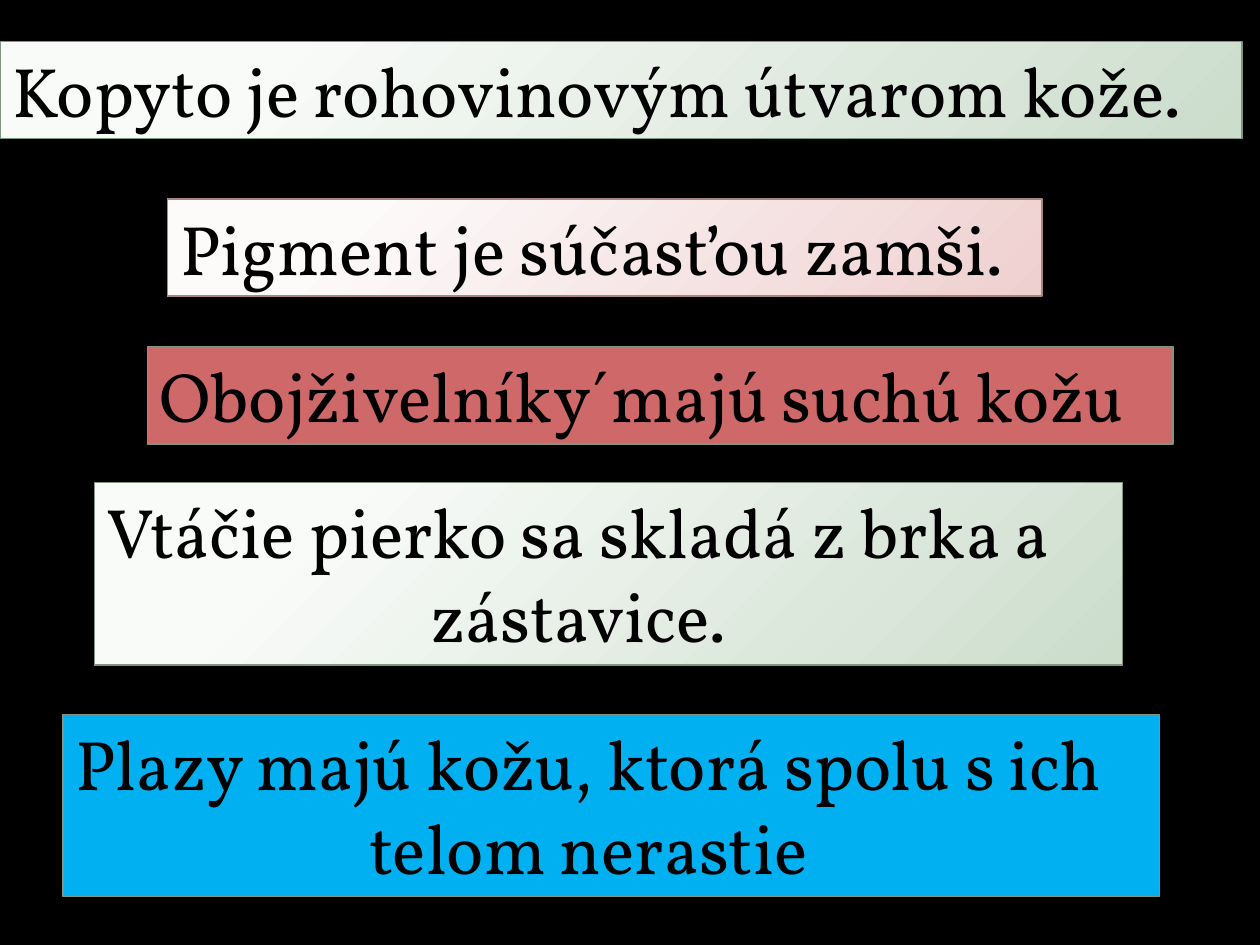
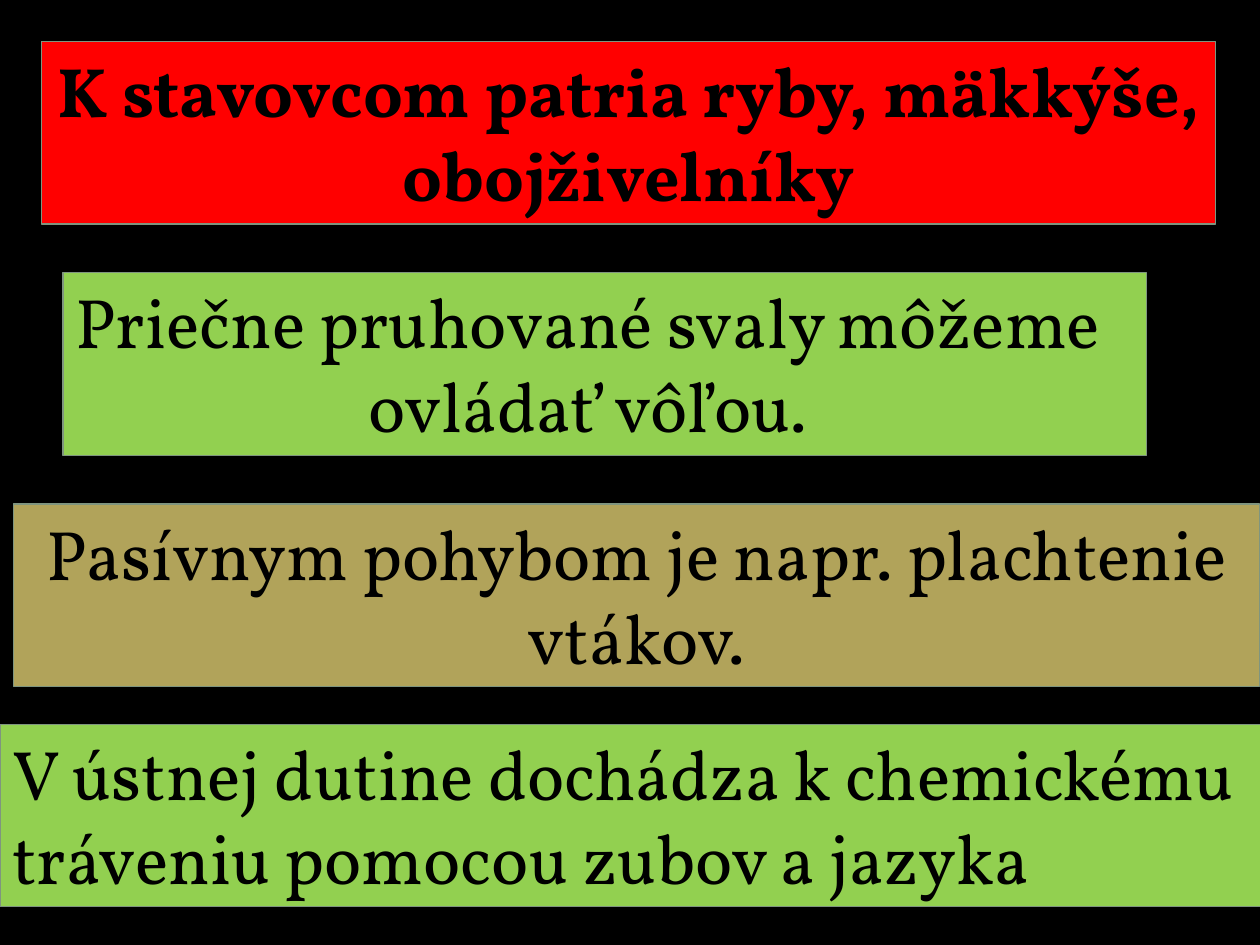
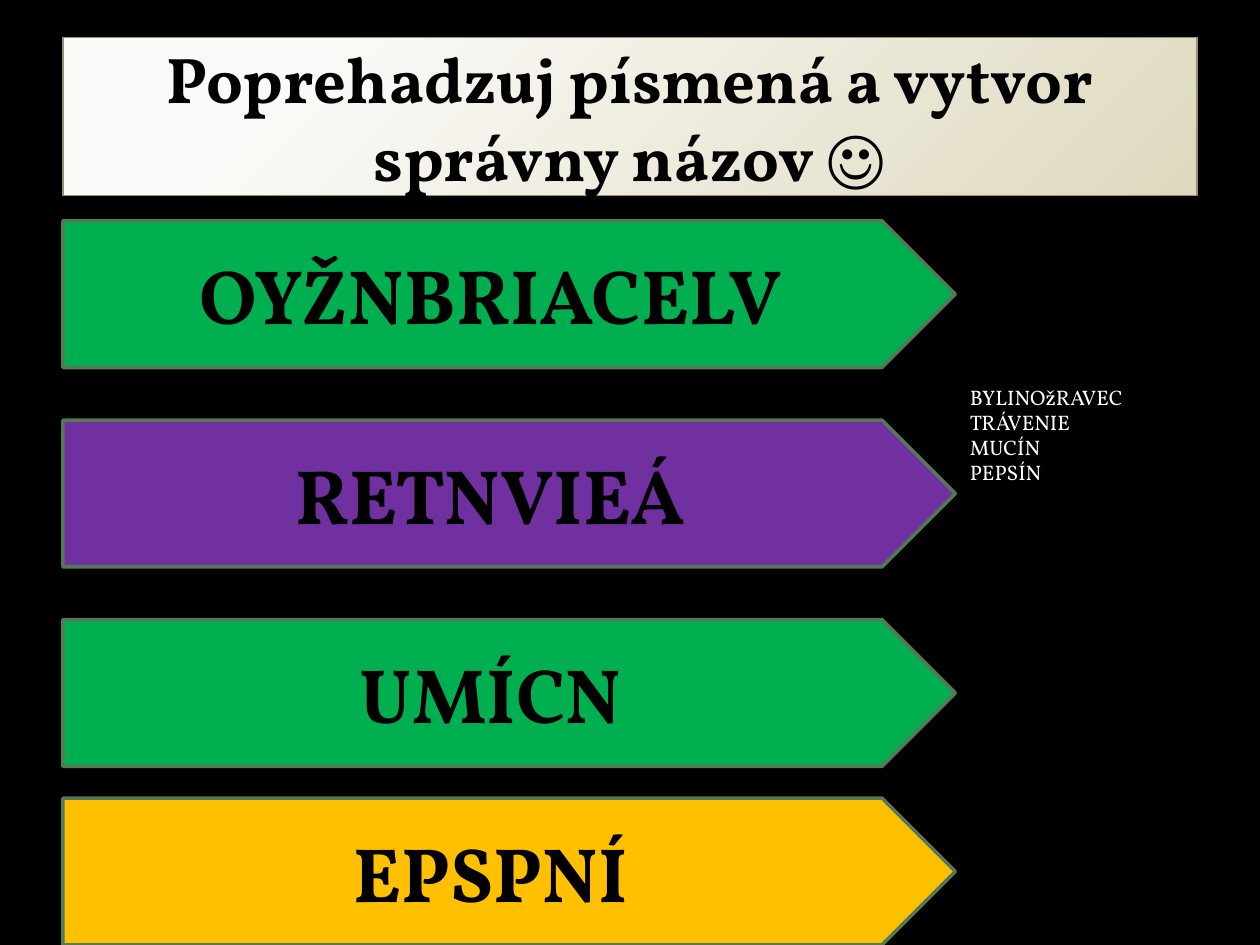
"""Three quiz slides about animal skin, movement and digestion."""
from pptx import Presentation
from pptx.dml.color import RGBColor
from pptx.enum.shapes import MSO_SHAPE
from pptx.enum.text import MSO_ANCHOR, MSO_AUTO_SIZE, PP_ALIGN
from pptx.oxml import parse_xml
from pptx.oxml.ns import nsdecls
from pptx.util import Cm, Pt

FONT = "Vollkorn"
BLACK = RGBColor(0x00, 0x00, 0x00)
WHITE = RGBColor(0xFF, 0xFF, 0xFF)
ROSE = RGBColor(0xCF, 0x68, 0x68)
BLUE = RGBColor(0x00, 0xB0, 0xF0)
RED = RGBColor(0xFF, 0x00, 0x00)
LIME = RGBColor(0x92, 0xD0, 0x50)
OCHRE = RGBColor(0xB1, 0xA3, 0x5A)
GREEN = RGBColor(0x00, 0xB0, 0x50)
PURPLE = RGBColor(0x70, 0x30, 0xA0)
AMBER = RGBColor(0xFF, 0xC0, 0x00)
SAGE_LINE = RGBColor(0x7F, 0x95, 0x7F)
PINK_LINE = RGBColor(0xAA, 0x83, 0x83)
SAND_LINE = RGBColor(0x98, 0x91, 0x6C)
ARROW_LINE = RGBColor(0x54, 0x79, 0x57)
SAGE_GLOW = (RGBColor(0xF9, 0xFB, 0xF9), RGBColor(0xCC, 0xDD, 0xCC))
PINK_GLOW = (RGBColor(0xFD, 0xFA, 0xFA), RGBColor(0xEF, 0xD0, 0xD0))
SAND_GLOW = (RGBColor(0xFB, 0xFA, 0xF8), RGBColor(0xDE, 0xD9, 0xBE))

LEFT, CENTER = PP_ALIGN.LEFT, PP_ALIGN.CENTER
LINE_HEIGHT, PADDING = 1.72, 0.24


def paint(sp, fill, line, width):
    """Give a shape a solid colour or a (light, dark) glow, and an outline."""
    if isinstance(fill, RGBColor):
        sp.fill.solid()
        sp.fill.fore_color.rgb = fill
    else:
        light, dark = fill
        sp.fill.background()
        no_fill = sp.element.spPr.find(".//{*}noFill")
        no_fill.getparent().replace(no_fill, parse_xml(
            f'<a:gradFill {nsdecls("a")} rotWithShape="1"><a:gsLst>'
            f'<a:gs pos="20000"><a:srgbClr val="{light}"/></a:gs>'
            f'<a:gs pos="100000"><a:srgbClr val="{dark}"/></a:gs></a:gsLst>'
            '<a:path path="circle"><a:fillToRect l="-15000" t="-15000" '
            'r="115000" b="115000"/></a:path></a:gradFill>'))
    sp.line.color.rgb = line
    sp.line.width = Pt(width)


def write(sp, lines, aligns, size, color=BLACK, bold=False):
    """Write one paragraph per line with the shared font."""
    tf = sp.text_frame
    tf.text = "\n".join(lines)
    for p, align in zip(tf.paragraphs, aligns):
        p.alignment = align
        for r in p.runs:
            r.font.name = FONT
            r.font.size = Pt(size)
            r.font.bold = bold
            r.font.color.rgb = color


prs = Presentation()
prs.slide_width, prs.slide_height = Cm(25.4), Cm(19.05)
background = prs.slide_master.background.fill
background.solid()
background.fore_color.rgb = BLACK
title_layout, blank_layout = prs.slide_layouts[5], prs.slide_layouts[6]

statement_slides = [
    [
        (0, 0.84, 25.04, SAGE_GLOW, SAGE_LINE, False, [LEFT],
         ["Kopyto je rohovinovým útvarom kože."]),
        (3.38, 4.01, 17.63, PINK_GLOW, PINK_LINE, False, [LEFT],
         ["Pigment je súčasťou zamši."]),
        (2.97, 6.99, 20.68, ROSE, SAGE_LINE, False, [LEFT],
         ["Obojživelníky´majú suchú kožu"]),
        (1.9, 9.73, 20.73, SAGE_GLOW, SAGE_LINE, False, [LEFT, CENTER],
         ["Vtáčie pierko sa skladá z brka a", "zástavice."]),
        (1.27, 14.4, 22.1, BLUE, SAGE_LINE, False, [LEFT, CENTER],
         ["Plazy majú kožu, ktorá spolu s ich", "telom nerastie"]),
    ],
    [
        (0.84, 0.84, 23.67, RED, SAGE_LINE, True, [CENTER, CENTER],
         ["K stavovcom patria ryby, mäkkýše, ", "obojživelníky"]),
        (1.27, 5.5, 21.84, LIME, SAGE_LINE, False, [LEFT, CENTER],
         ["Priečne pruhované svaly môžeme", "ovládať vôľou."]),
        (0.27, 10.16, 25.12, OCHRE, SAGE_LINE, False, [CENTER, CENTER],
         ["Pasívnym pohybom je napr. plachtenie", "vtákov."]),
        (0, 14.6, 26.16, LIME, SAGE_LINE, False, [LEFT, LEFT],
         ["V ústnej dutine dochádza k chemickému",
          "tráveniu pomocou zubov a jazyka"]),
    ],
]
for statements in statement_slides:
    s = prs.slides.add_slide(blank_layout)
    for left, top, width, fill, line, bold, aligns, lines in statements:
        height = PADDING + LINE_HEIGHT * len(lines)
        sp = s.shapes.add_textbox(Cm(left), Cm(top), Cm(width), Cm(height))
        sp.text_frame.word_wrap = False
        sp.text_frame.auto_size = MSO_AUTO_SIZE.SHAPE_TO_FIT_TEXT
        paint(sp, fill, line, 0.75)
        write(sp, lines, aligns, 40, bold=bold)

s = prs.slides.add_slide(title_layout)
title = s.shapes.title
title.left, title.top, title.width, title.height = Cm(1.27), Cm(0.76), Cm(22.86), Cm(3.18)
title.text_frame.vertical_anchor = MSO_ANCHOR.MIDDLE
title.text_frame.auto_size = MSO_AUTO_SIZE.NONE
paint(title, SAND_GLOW, SAND_LINE, 0.75)
write(title, ["Poprehadzuj písmená a vytvor správny názov ☺"], [CENTER], 36.9, bold=True)

anagrams = [
    (4.45, GREEN, "OYŽNBRIACELV"),
    (8.47, PURPLE, "RETNVIEÁ"),
    (12.49, GREEN, "UMÍCN"),
    (16.09, AMBER, "EPSPNÍ"),
]
for top, fill, word in anagrams:
    sp = s.shapes.add_shape(MSO_SHAPE.PENTAGON, Cm(1.27), Cm(top), Cm(17.99), Cm(2.96))
    sp.shadow.inherit = False
    sp.text_frame.vertical_anchor = MSO_ANCHOR.MIDDLE
    paint(sp, fill, ARROW_LINE, 2)
    write(sp, [word], [CENTER], 44, bold=True)

answers = s.shapes.add_textbox(Cm(19.3), Cm(7.62), Cm(3.86), Cm(2.31))
answers.text_frame.word_wrap = False
answers.text_frame.auto_size = MSO_AUTO_SIZE.SHAPE_TO_FIT_TEXT
write(answers, ["BYLINOžRAVEC", "TRÁVENIE", "MUCÍN", "PEPSÍN"], [LEFT] * 4, 12, WHITE)

prs.save("out.pptx")
